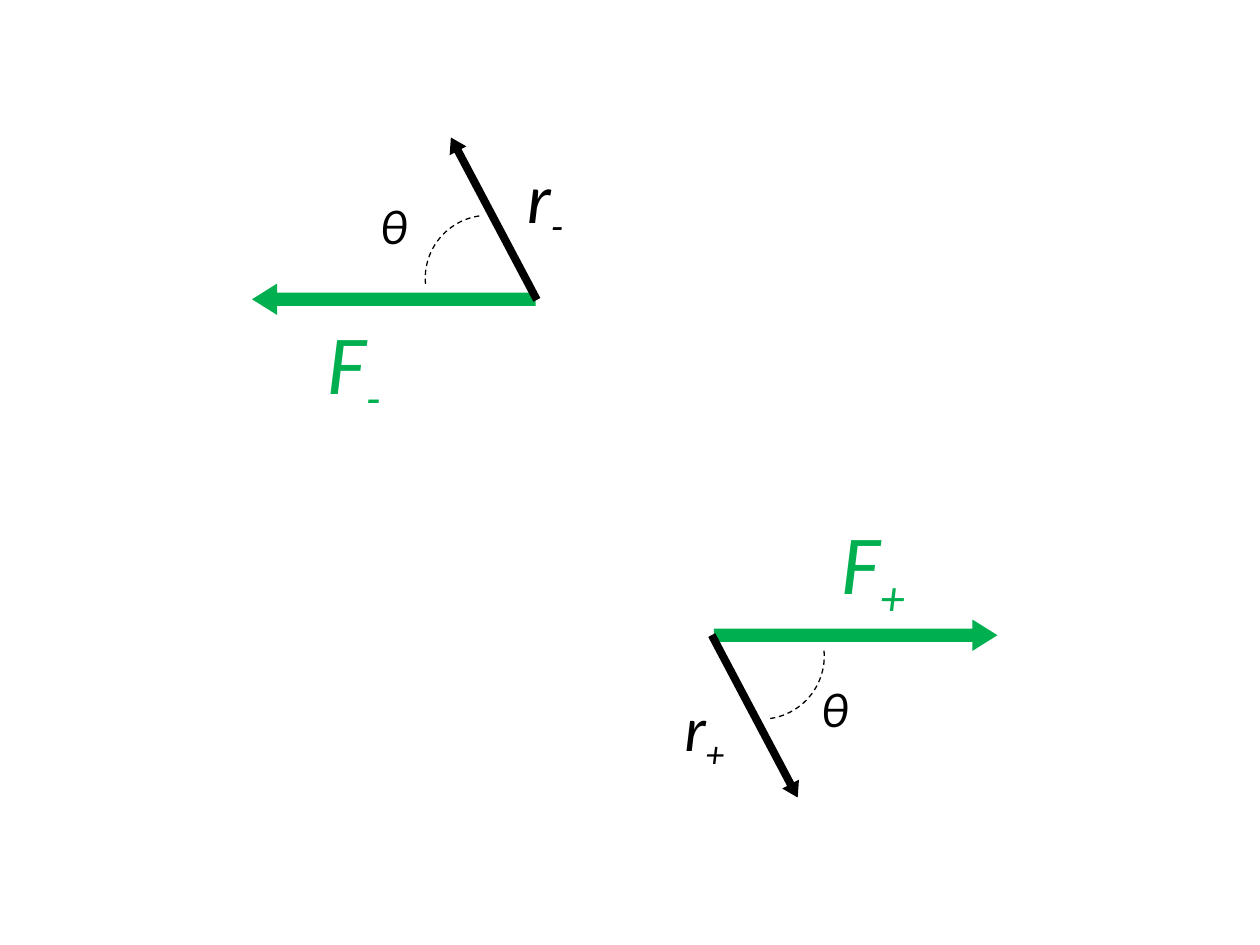
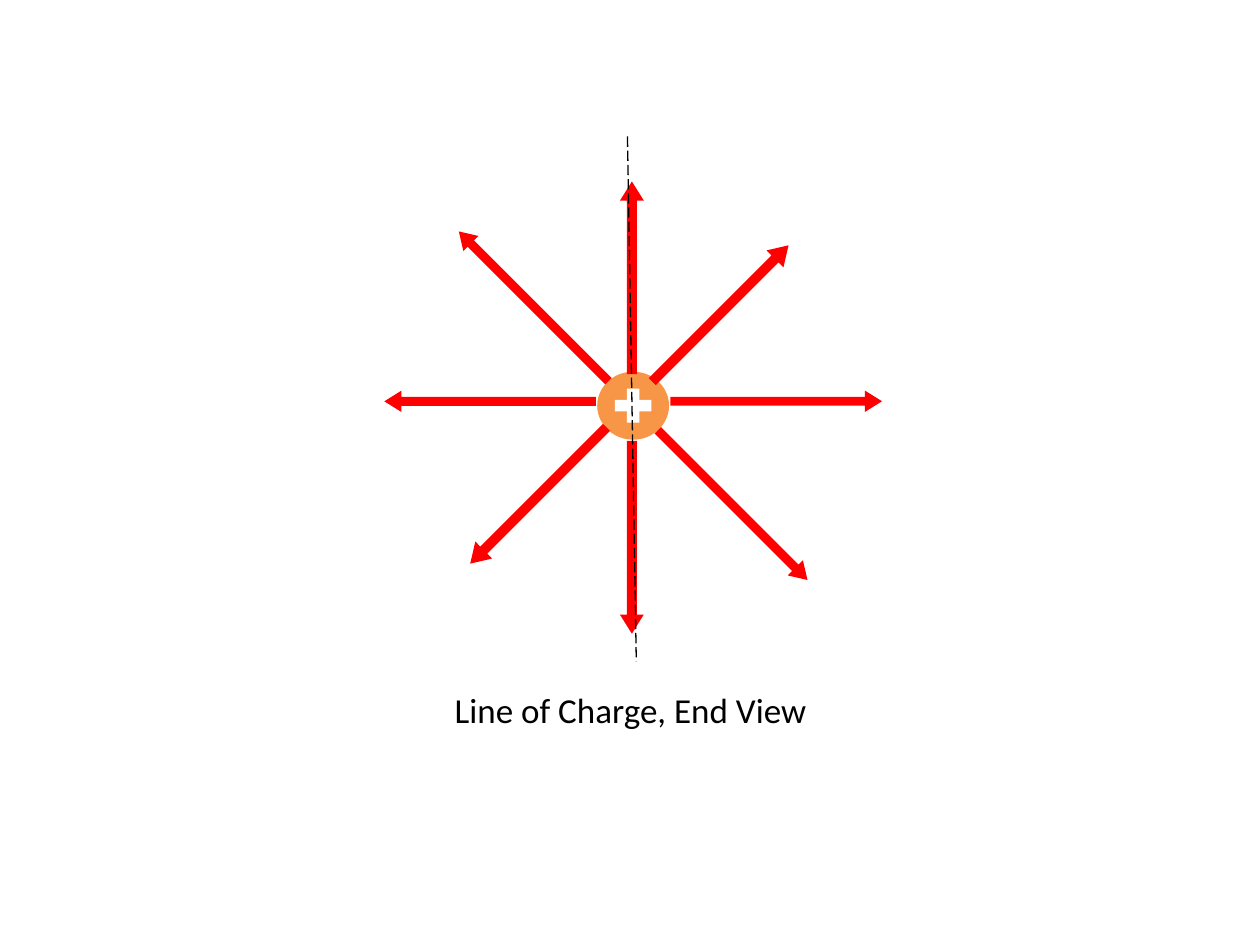
"""Two physics diagrams: forces on a dipole, and the field of a line of charge."""
import math
from dataclasses import dataclass

import lxml.etree
import pptx
import pptx.dml.color
import pptx.enum.dml
import pptx.enum.shapes
import pptx.enum.text
import pptx.oxml.ns
import pptx.util

COLUMNS, ROWS = 120, 90
CELL = pptx.util.Inches(10) / COLUMNS
FONT = "Calibri"
BLACK, WHITE, GREEN, RED, ORANGE = "000000", "FFFFFF", "00B050", "FF0000", "F79646"
SHAPE = pptx.enum.shapes.MSO_SHAPE
DASH = pptx.enum.dml.MSO_LINE


@dataclass
class Arrow:
    """A block arrow by its centre; heading is in degrees clockwise from right."""
    column: float
    row: float
    length: float
    thickness: float
    heading: float
    colour: str


@dataclass
class Label:
    """A symbol with an optional subscript, placed in grid cells."""
    symbol: str
    subscript: str
    box: tuple[float, float, float, float]
    size: int
    colour: str = BLACK


@dataclass
class Axis:
    """Two opposite field arrows around a midpoint."""
    heading: float
    column: float
    row: float
    reach: float
    length: float
    thickness: float


FORCES = [
    Arrow(37.5, 28.5, 27, 3, 180, GREEN),
    Arrow(81.5, 60.5, 27, 3, 0, GREEN),
    Arrow(71.88, 68.22, 17.5, 1.8, 62.1, BLACK),
    Arrow(47.04, 20.82, 17.5, 1.8, 242.1, BLACK),
]
LABELS = [
    Label("F", "-", (30, 29, 7.8, 10.9), 48, GREEN),
    Label("F", "+", (79, 48, 8.76, 10.9), 48, GREEN),
    Label("r", "-", (49, 14, 6.12, 9.24), 40),
    Label("r", "+", (64, 65, 6.48, 8.52), 36),
    Label("θ", "", (35, 18, 7, 6.84), 28),
    Label("θ", "", (77, 64, 7, 6.84), 28),
]
ANGLE_ARCS = [(40.5, 20.5, 265), (66.5, 56.5, 85)]
FIELD_AXES = [
    Axis(0, 60.3, 38.22, 13.62, 20.16, 2.04),
    Axis(90, 60.18, 38.82, 12.36, 18.36, 2.28),
    Axis(45, 60.3, 38.64, 13.4, 20.16, 2.04),
    Axis(135, 59.94, 38.52, 12.26, 18.36, 2.28),
]


def cells(*counts: float) -> list[int]:
    """Turn grid cells into slide lengths."""
    return [pptx.util.Emu(round(count * CELL)) for count in counts]


def rgb(colour: str) -> pptx.dml.color.RGBColor:
    """Turn a hex string into a colour."""
    return pptx.dml.color.RGBColor.from_string(colour)


def add_filled(shapes, kind, box: tuple, colour: str):
    """Add a preset shape with a plain fill and no outline."""
    shape = shapes.add_shape(kind, *cells(*box))
    shape.shadow.inherit = False
    shape.fill.solid()
    shape.fill.fore_color.rgb = rgb(colour)
    shape.line.fill.background()
    return shape


def style_dashed(line, dash) -> None:
    """Give a line the thin black dashed style."""
    line.color.rgb = rgb(BLACK)
    line.width = pptx.util.Pt(0.75)
    line.dash_style = dash


def add_arrow(slide, arrow: Arrow) -> None:
    """Draw a block arrow turned to its heading."""
    box = (arrow.column - arrow.length / 2, arrow.row - arrow.thickness / 2,
           arrow.length, arrow.thickness)
    block = add_filled(slide.shapes, SHAPE.RIGHT_ARROW, box, arrow.colour)
    block.adjustments[0], block.adjustments[1] = 0.42, 0.8
    block.rotation = arrow.heading


def add_text(slide, text: str, box: tuple, *, size: int, colour: str = BLACK,
             italic: bool = False, subscript: str = "", wrap: bool = True) -> None:
    """Add a text box, with an optional subscript after the text."""
    frame = slide.shapes.add_textbox(*cells(*box)).text_frame
    frame.word_wrap = wrap
    frame.auto_size = pptx.enum.text.MSO_AUTO_SIZE.SHAPE_TO_FIT_TEXT
    for part, baseline in ((text, None), (subscript, "-25000")):
        if not part:
            continue
        run = frame.paragraphs[0].add_run()
        run.text = part
        run.font.name = FONT
        run.font.size = pptx.util.Pt(size)
        run.font.italic = italic
        run.font.color.rgb = rgb(colour)
        if baseline:
            run.font._element.set("baseline", baseline)


def add_angle_arc(slide, column: float, row: float, rotation: float) -> None:
    """Draw the dashed quarter circle that marks an angle."""
    arc = slide.shapes.add_shape(SHAPE.ARC, *cells(column, row, 12, 12))
    arc.shadow.inherit = False
    arc.fill.background()
    arc.rotation = rotation
    style_dashed(arc.line, DASH.DASH)


def add_dashed_line(slide, start: tuple, end: tuple) -> None:
    """Draw a long-dashed straight line between two grid points."""
    line = slide.shapes.add_connector(
        pptx.enum.shapes.MSO_CONNECTOR.STRAIGHT, *cells(*start, *end))
    style_dashed(line.line, DASH.LONG_DASH)
    lxml.etree.SubElement(line._element.spPr, pptx.oxml.ns.qn("a:effectLst"))


def add_charge(slide, column: float, row: float) -> None:
    """Draw the positive charge as a grouped disc and plus sign."""
    charge = slide.shapes.add_group_shape().shapes
    for kind, width, height, colour in (
            (SHAPE.OVAL, 6.84, 6.48, ORANGE),
            (SHAPE.RECTANGLE, 3.48, 1.1, WHITE),
            (SHAPE.RECTANGLE, 1.2, 3.24, WHITE)):
        box = (column - width / 2, row - height / 2, width, height)
        add_filled(charge, kind, box, colour)


def build_dipole(slide) -> None:
    """Draw the forces and lever arms on both ends of a dipole."""
    for force in FORCES:
        add_arrow(slide, force)
    for label in LABELS:
        add_text(slide, label.symbol, label.box, size=label.size, colour=label.colour,
                 italic=True, subscript=label.subscript, wrap=not label.subscript)
    for arc in ANGLE_ARCS:
        add_angle_arc(slide, *arc)


def build_line_charge(slide) -> None:
    """Draw the field around a line of charge seen from its end."""
    add_text(slide, "Line of Charge, End View", (42.12, 65, 38, 5.25), size=20)
    add_charge(slide, 60.3, 38.64)
    for axis in FIELD_AXES:
        for heading in (axis.heading, axis.heading + 180):
            angle = math.radians(heading)
            add_arrow(slide, Arrow(axis.column + axis.reach * math.cos(angle),
                                   axis.row + axis.reach * math.sin(angle),
                                   axis.length, axis.thickness, heading, RED))
    add_dashed_line(slide, (59.76, 13), (60.6, 63))


def main() -> None:
    """Build and save both slides."""
    deck = pptx.Presentation()
    deck.slide_width, deck.slide_height = cells(COLUMNS, ROWS)
    blank = deck.slide_layouts.get_by_name("Blank")
    for build in (build_dipole, build_line_charge):
        build(deck.slides.add_slide(blank))
    deck.save("out.pptx")


main()
